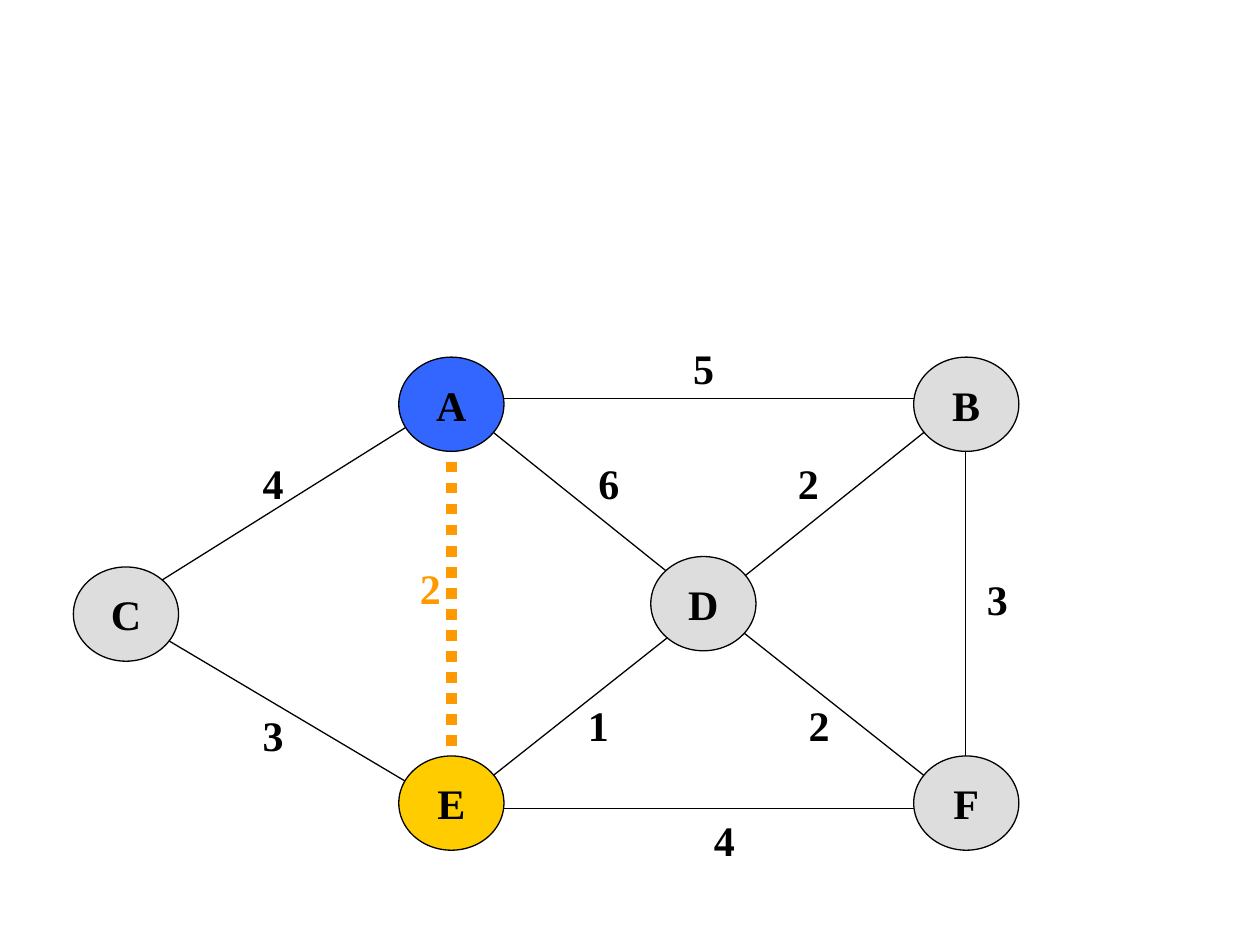
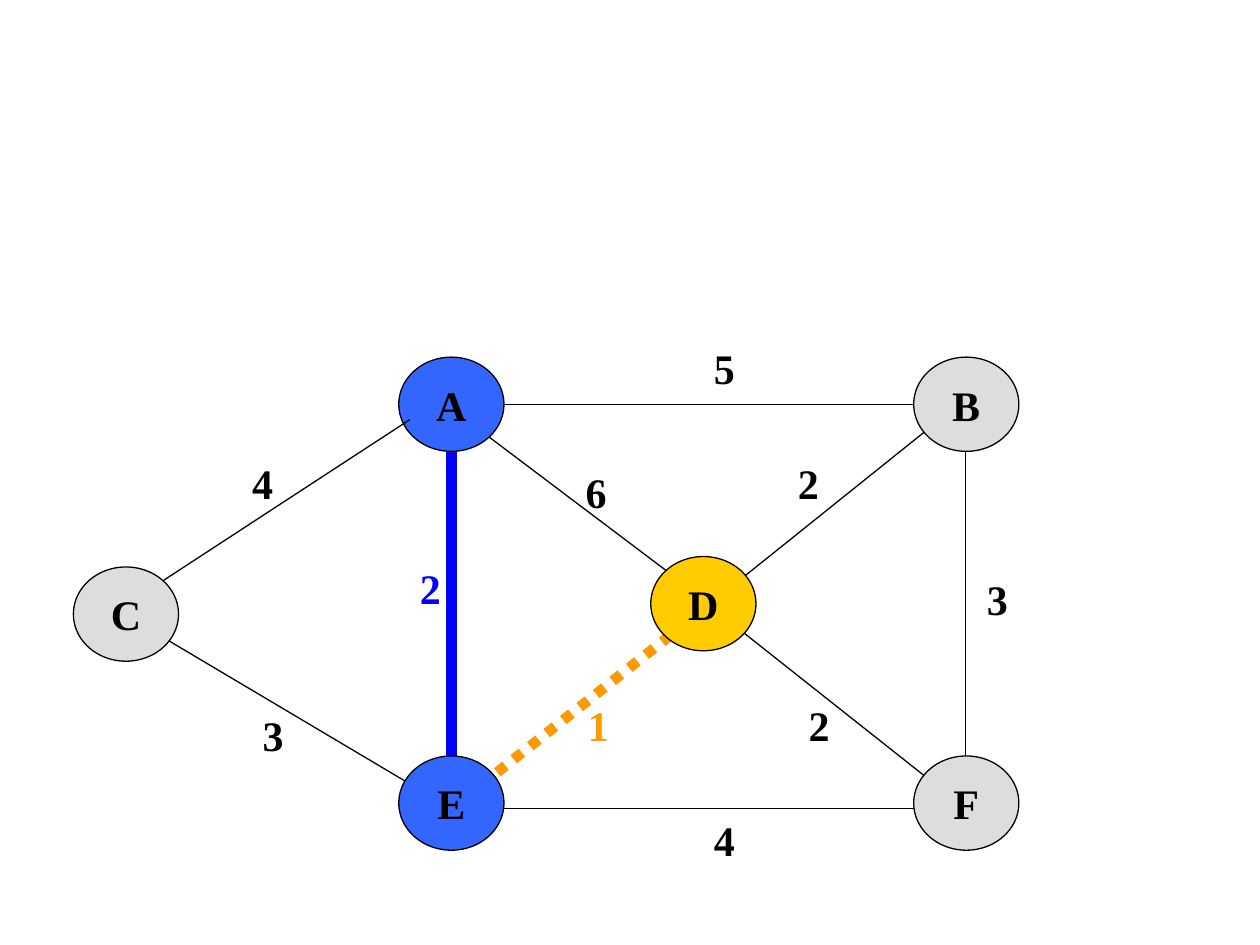
from dataclasses import dataclass

from lxml.etree import SubElement
from pptx import Presentation
from pptx.dml.color import RGBColor
from pptx.enum.dml import MSO_LINE
from pptx.enum.shapes import MSO_CONNECTOR, MSO_SHAPE
from pptx.enum.text import MSO_ANCHOR, MSO_AUTO_SIZE, PP_ALIGN
from pptx.oxml.ns import qn
from pptx.util import Cm, Pt


@dataclass(frozen=True)
class Theme:
    font: str = "Times New Roman"
    size: float = 24
    ink: str = "000000"
    idle: str = "DDDDDD"
    done: str = "3366FF"
    current: str = "FFCC00"
    candidate: str = "FF9900"
    tree: str = "0000FF"
    thin: float = 0.75
    thick: float = 6


@dataclass(frozen=True)
class Edge:
    start: tuple
    end: tuple
    weight: str
    label: tuple


THEME = Theme()
NODE_W, NODE_H, LABEL = 2.12, 1.9, 1.27
LEFT, RIGHT, TOP, BOTTOM = 8.04, 18.42, 7.2, 15.24
NODES = {
    "C": (1.48, 11.43),
    "F": (RIGHT, BOTTOM),
    "E": (LEFT, BOTTOM),
    "A": (LEFT, TOP),
    "B": (RIGHT, TOP),
    "D": (13.12, 11.22),
}

A, B, C = (9.1, 8.04), (19.47, 8.04), (2.33, 12.28)
E, F = (9.1, 16.3), (19.47, 16.3)
D_WEST, D_EAST = (14.18, 12.28), (14.39, 12.28)
EDGES = {
    "EF": Edge(E, F, "4", (13.97, 16.3)),
    "BF": Edge(F, B, "3", (19.47, 11.43)),
    "AB": Edge(B, A, "5", (13.55, 6.77)),
    "AE": Edge(A, E, "2", (8.04, 11.22)),
    "DF": Edge(D_EAST, F, "2", (15.88, 13.97)),
    "AD": Edge(A, D_EAST, "6", (11.64, 9.1)),
    "DE": Edge(D_WEST, E, "1", (11.43, 13.97)),
    "BD": Edge(D_WEST, B, "2", (15.66, 9.1)),
    "AC": Edge(C, A, "4", (4.87, 9.1)),
    "CE": Edge(C, E, "3", (4.87, 14.18)),
}
FRONT_EDGES = {
    "AC": Edge((3.28, 11.71), (8.26, 8.46), "4", (4.66, 9.1)),
    "AB": Edge((10.16, 8.15), (18.42, 8.15), "5", (13.97, 6.77)),
    "AD": Edge((9.86, 8.81), (13.44, 11.51), "6", (11.38, 9.27)),
}


class GraphDeck:
    def __init__(self, theme):
        self.theme = theme
        self.prs = Presentation()
        self.prs.slide_width, self.prs.slide_height = Cm(25.4), Cm(19.05)
        self.s = None

    def new_slide(self):
        self.s = self.prs.slides.add_slide(self.prs.slide_layouts[6])

    def set_text(self, tf, text, color):
        tf.text = text
        p = tf.paragraphs[0]
        p.alignment = PP_ALIGN.CENTER
        font = p.runs[0].font
        font.name, font.size, font.bold = self.theme.font, Pt(self.theme.size), True
        font.color.rgb = RGBColor.from_string(color)

    def stroke(self, line, color, width):
        line.color.rgb = RGBColor.from_string(color)
        line.width = Pt(width)

    def node(self, name, fill):
        x, y = NODES[name]
        sp = self.s.shapes.add_shape(MSO_SHAPE.OVAL, Cm(x), Cm(y), Cm(NODE_W), Cm(NODE_H))
        sp.shadow.inherit = False
        sp.fill.solid()
        sp.fill.fore_color.rgb = RGBColor.from_string(fill)
        self.stroke(sp.line, self.theme.ink, self.theme.thin)
        tf = sp.text_frame
        tf.word_wrap = False
        tf.vertical_anchor = MSO_ANCHOR.MIDDLE
        self.set_text(tf, name, self.theme.ink)

    def edge(self, edge, color):
        ends = [Cm(v) for v in edge.start + edge.end]
        line = self.s.shapes.add_connector(MSO_CONNECTOR.STRAIGHT, *ends)
        plain = color == self.theme.ink
        self.stroke(line.line, color, self.theme.thin if plain else self.theme.thick)
        if color == self.theme.candidate:
            line.line.dash_style = MSO_LINE.ROUND_DOT
        SubElement(line._element.spPr, qn("a:effectLst"))

    def weight(self, edge, color):
        x, y = edge.label
        box = self.s.shapes.add_textbox(Cm(x), Cm(y), Cm(LABEL), Cm(LABEL))
        tf = box.text_frame
        tf.word_wrap = True
        tf.auto_size = MSO_AUTO_SIZE.SHAPE_TO_FIT_TEXT
        self.set_text(tf, edge.weight, color)

    def graph(self, fills, colors, front=None):
        front = front or {}
        back = {key: edge for key, edge in EDGES.items() if key not in front}
        ink = self.theme.ink
        self.new_slide()
        for key, edge in back.items():
            self.edge(edge, colors.get(key, ink))
        for name in NODES:
            self.node(name, fills.get(name, self.theme.idle))
        for edge in front.values():
            self.edge(edge, ink)
        for key, edge in (back | front).items():
            self.weight(edge, colors.get(key, ink))


def main():
    t = THEME
    deck = GraphDeck(t)
    deck.graph({"A": t.done, "E": t.current}, {"AE": t.candidate})
    deck.graph(
        {"A": t.done, "E": t.done, "D": t.current},
        {"AE": t.tree, "DE": t.candidate},
        FRONT_EDGES,
    )
    deck.prs.save("out.pptx")


if __name__ == "__main__":
    main()
